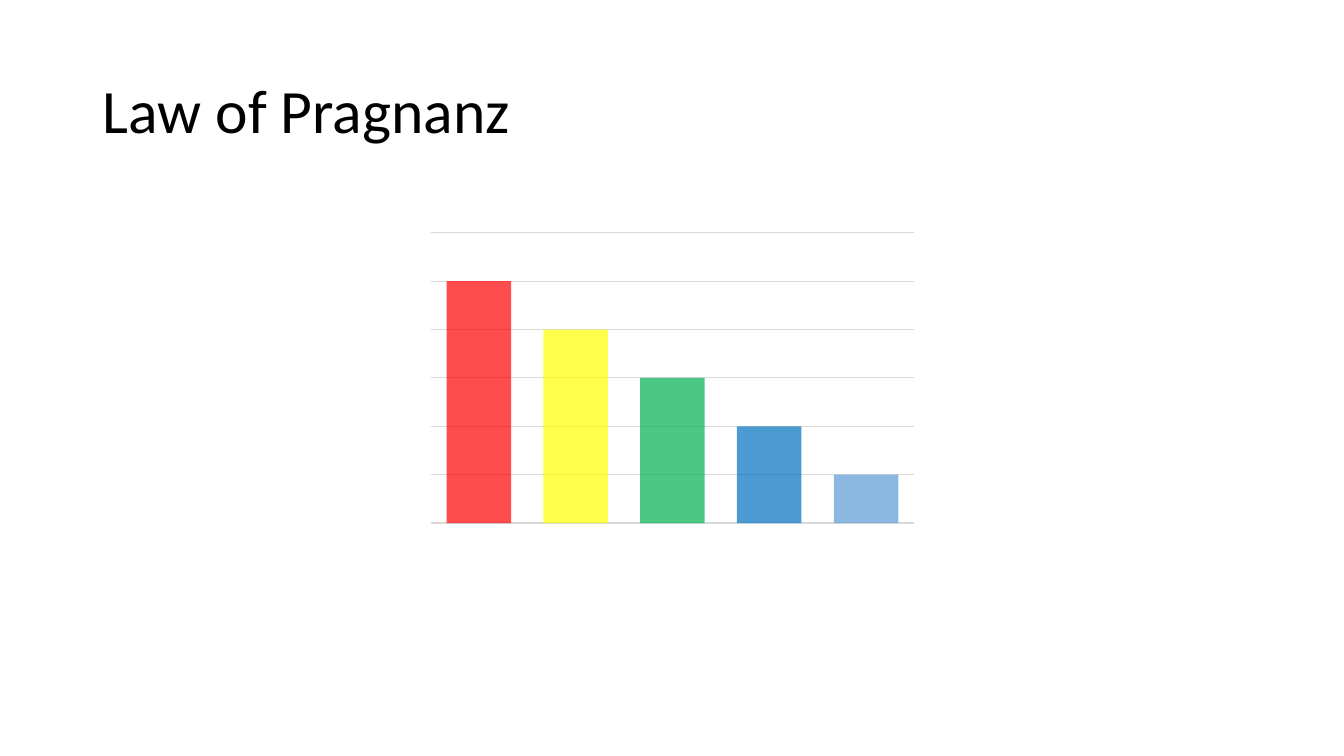
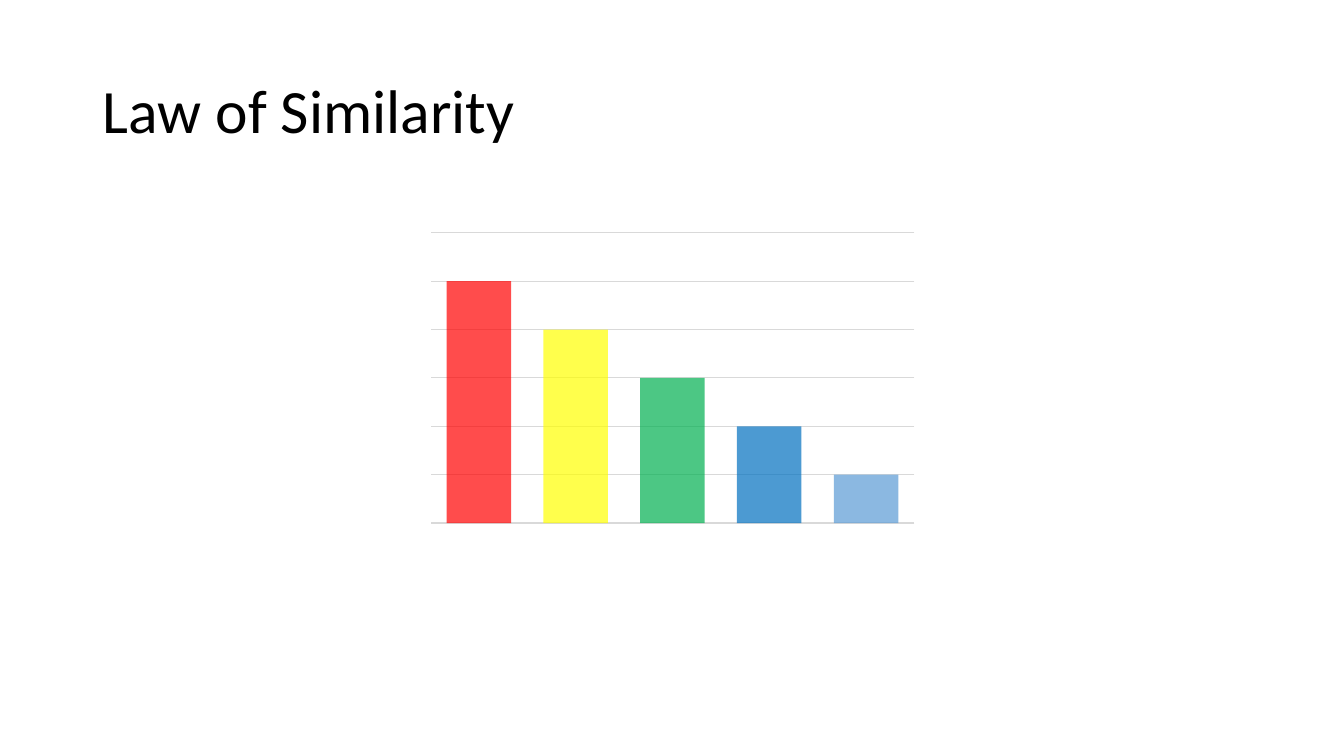
from lxml import etree
from pptx import Presentation
from pptx import util as u
from pptx.chart import data
from pptx.dml.color import RGBColor
from pptx.enum import chart as kinds, text
from pptx.oxml import parse_xml
from pptx.oxml.ns import nsdecls, qn

HUES = {
    "ink": "000000",
    "grid": "D9D9D9",
    "red": "FF0000",
    "yellow": "FFFF00",
    "green": "00B050",
    "blue": "0070C0",
    "sky": "5B9BD5",
}
FACE = "Calibri"
LAWS = ["Law of Pragnanz", "Law of Similarity"]
BARS = [("red", 100), ("yellow", 80), ("green", 60), ("blue", 40), ("sky", 20)]


def hue(name):
    return RGBColor.from_string(HUES[name])


def style(font, size, color="ink"):
    font.name = FACE
    font.size = u.Pt(size)
    font.color.rgb = hue(color)


def write(frame, words, size=44, color="ink", space=0.9):
    para = frame.paragraphs[0]
    para.line_spacing = space
    run = para.add_run()
    run.text = words
    style(run.font, size, color)


class Deck:
    def __init__(self):
        self.file = Presentation()
        self.file.slide_width = u.Inches(13.33)
        self.file.slide_height = u.Inches(7.5)
        self.slide = None

    def page(self):
        self.slide = self.file.slides.add_slide(self.file.slide_layouts[6])

    def title(self, words):
        box = self.slide.shapes.add_textbox(
            u.Inches(0.92), u.Inches(0.4), u.Inches(11.5), u.Inches(1.45))
        frame = box.text_frame
        frame.word_wrap = True
        frame.vertical_anchor = text.MSO_ANCHOR.MIDDLE
        write(frame, words)

    def tint(self, form, color, alpha=70):
        form.fill.solid()
        form.fill.fore_color.rgb = hue(color)
        for node in form._element.iter(qn("a:srgbClr")):
            etree.SubElement(node, qn("a:alpha"), val=str(alpha * 1000))

    def inset(self, chart, edge=0.02):
        area = chart._chartSpace.chart.plotArea
        for old in area.findall(qn("c:layout")):
            area.remove(old)
        size = round(1 - 2 * edge, 2)
        area.insert(0, parse_xml(
            f'<c:layout {nsdecls("c")}><c:manualLayout>'
            '<c:layoutTarget val="inner"/>'
            '<c:xMode val="edge"/><c:yMode val="edge"/>'
            f'<c:x val="{edge}"/><c:y val="{edge}"/>'
            f'<c:w val="{size}"/><c:h val="{size}"/>'
            '</c:manualLayout></c:layout>'))

    def chart(self, bars):
        table = data.CategoryChartData()
        table.categories = [str(i) for i in range(1, len(bars) + 1)]
        table.add_series("Series 1", [value for _, value in bars])
        chart = self.slide.shapes.add_chart(
            kinds.XL_CHART_TYPE.COLUMN_STACKED,
            u.Inches(4.17), u.Inches(2.25), u.Inches(5), u.Inches(3),
            table).chart
        chart.has_legend = False
        chart.has_title = False
        style(chart.font, 10)
        self.inset(chart)
        chart.category_axis.visible = False
        axis = chart.value_axis
        axis.visible = False
        axis.minimum_scale = 0
        axis.maximum_scale = 120
        axis.major_unit = 20
        axis.has_major_gridlines = True
        line = axis.major_gridlines.format.line
        line.color.rgb = hue("grid")
        line.width = u.Pt(0.75)
        plot = chart.plots[0]
        plot.gap_width = 50
        plot.overlap = 100
        plot.vary_by_categories = False
        row = plot.series[0]
        row.invert_if_negative = False
        for i, (color, _) in enumerate(bars):
            form = row.points[i].format
            form.fill.solid()
            form.fill.fore_color.rgb = hue(color)
        for node in row._element.iter(qn("a:srgbClr")):
            etree.SubElement(node, qn("a:alpha"), val="70000")


def main():
    deck = Deck()
    for law in LAWS:
        deck.page()
        deck.title(law)
        deck.chart(BARS)
    deck.file.save("out.pptx")


if __name__ == "__main__":
    main()
